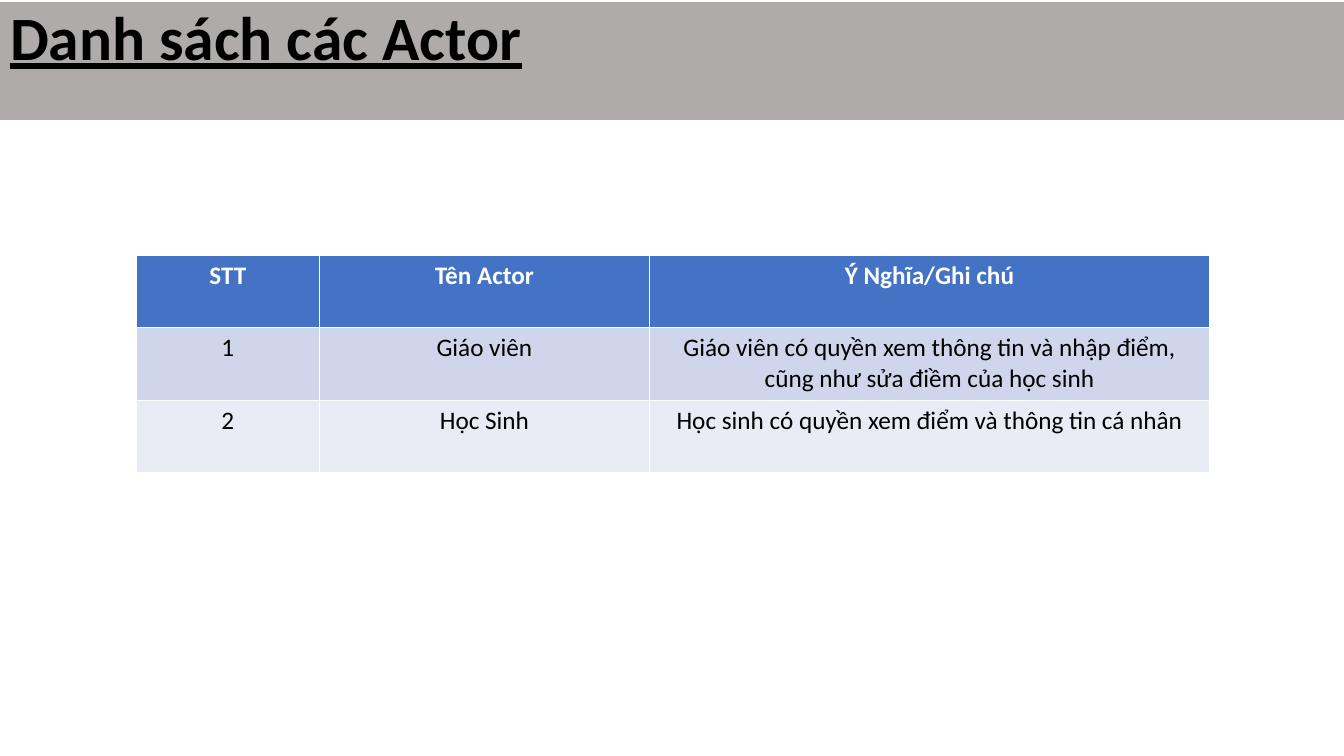
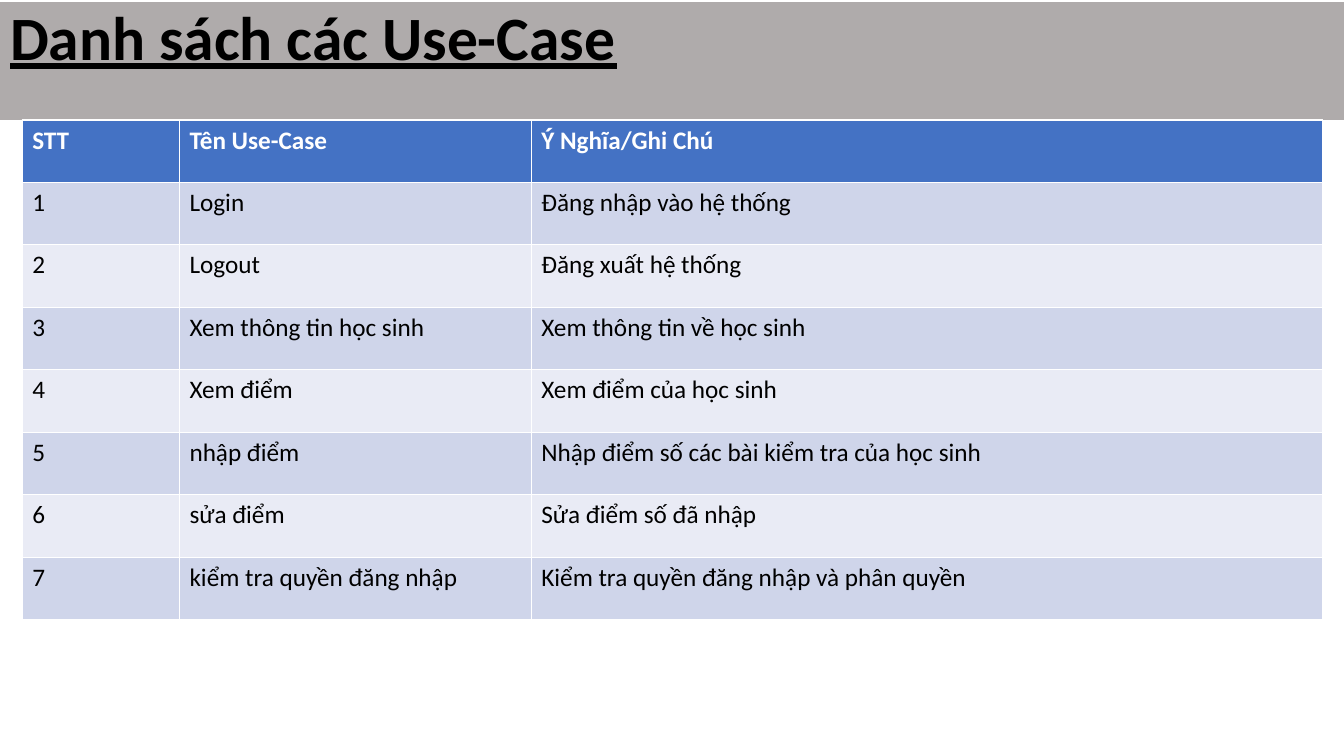
import pptx
import pptx.util
import pptx.dml.color
import pptx.enum.text
from dataclasses import dataclass

Inches = pptx.util.Inches
ALIGN = pptx.enum.text.PP_ALIGN


@dataclass(frozen=True)
class Theme:
    font: str = "Calibri"
    head: int = 44
    body: int = 18
    band: str = "AFABAB"
    ink: str = "000000"
    white: str = "FFFFFF"
    blue: str = "4472C4"
    rows: tuple = ("E9EBF5", "CFD5EA")


theme = Theme()


def paint(fill, shade):
    fill.solid()
    fill.fore_color.rgb = pptx.dml.color.RGBColor.from_string(shade)


def style(frame, size, shade, align, bold):
    """Format the only paragraph of a text frame and its runs."""
    para = frame.paragraphs[0]
    para.alignment = align
    for run in para.runs:
        run.font.name = theme.font
        run.font.size = pptx.util.Pt(size)
        run.font.bold = bold
        run.font.color.rgb = pptx.dml.color.RGBColor.from_string(shade)


# Each page: title, table left and top, column widths, row height, alignment, rows
pages = [
    ("Danh sách các Actor", 1.35, 2.53, (1.82, 3.27, 5.56), 0.72, ALIGN.CENTER, [
        ("STT", "Tên Actor", "Ý Nghĩa/Ghi chú"),
        ("1", "Giáo viên",
         "Giáo viên có quyền xem thông tin và nhập điểm, cũng như sửa điềm của học sinh"),
        ("2", "Học Sinh", "Học sinh có quyền xem điểm và thông tin cá nhân"),
    ]),
    ("Danh sách các Use-Case", 0.22, 1.19, (1.56, 3.49, 7.85), 0.62, ALIGN.LEFT, [
        ("STT", "Tên Use-Case", "Ý Nghĩa/Ghi Chú"),
        ("1", "Login", "Đăng nhập vào hệ thống"),
        ("2", "Logout", "Đăng xuất hệ thống"),
        ("3", "Xem thông tin học sinh", "Xem thông tin về học sinh"),
        ("4", "Xem điểm", "Xem điểm của học sinh"),
        ("5", "nhập điểm", "Nhập điểm số các bài kiểm tra của học sinh"),
        ("6", "sửa điểm", "Sửa điểm số đã nhập"),
        ("7", "kiểm tra quyền đăng nhập", "Kiểm tra quyền đăng nhập và phân quyền"),
    ]),
]

deck = pptx.Presentation()
deck.slide_width = Inches(13.33)
deck.slide_height = Inches(7.5)

for head, left, top, widths, height, align, rows in pages:
    slide = deck.slides.add_slide(deck.slide_layouts.get_by_name("Title Only"))

    title = slide.shapes.title
    title.left, title.top = Inches(0), Inches(0.02)
    title.width, title.height = deck.slide_width, Inches(1.17)
    paint(title.fill, theme.band)
    frame = title.text_frame
    frame.text = head
    frame.auto_size = pptx.enum.text.MSO_AUTO_SIZE.NONE
    frame.vertical_anchor = pptx.enum.text.MSO_ANCHOR.TOP
    style(frame, theme.head, theme.ink, ALIGN.LEFT, True)
    frame.paragraphs[0].line_spacing = 0.9
    frame.paragraphs[0].runs[0].font.underline = True

    # The default table style draws the white rules between cells
    table = slide.shapes.add_table(
        len(rows), len(widths), Inches(left), Inches(top),
        Inches(sum(widths)), Inches(height * len(rows))).table
    for col, width in zip(table.columns, widths):
        col.width = Inches(width)
    for r, row in enumerate(rows):
        table.rows[r].height = Inches(height)
        first = r == 0
        for c, text in enumerate(row):
            cell = table.cell(r, c)
            cell.text_frame.text = text
            paint(cell.fill, theme.blue if first else theme.rows[r % 2])
            style(cell.text_frame, theme.body,
                  theme.white if first else theme.ink, align, first)

deck.save("out.pptx")
